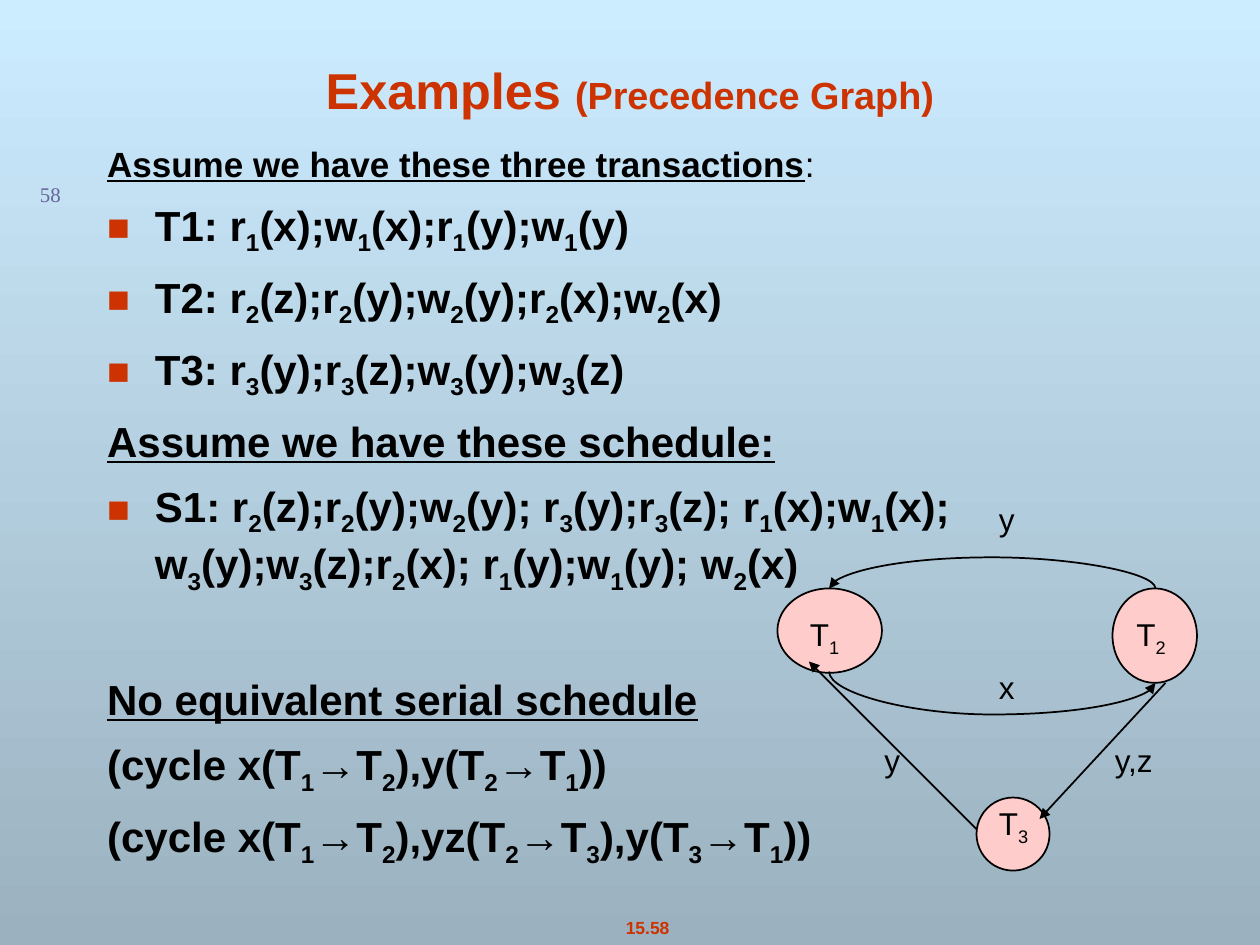
import pptx
import pptx.util
import pptx.dml.color
import pptx.enum.shapes
import pptx.enum.text
import pptx.oxml
import pptx.oxml.ns
from lxml import etree

Inches, Pt = pptx.util.Inches, pptx.util.Pt
Kind = pptx.enum.shapes.MSO_CONNECTOR
Align = pptx.enum.text.PP_ALIGN
Anchor = pptx.enum.text.MSO_ANCHOR
Fit = pptx.enum.text.MSO_AUTO_SIZE
qn = pptx.oxml.ns.qn

INK = {"red": "CC3300", "black": "000000", "page": "666699", "node": "FFCCCC",
       "top": "CCECFF", "base": "9BB1BF"}

# An underscore lowers the character after it.
TITLE = [("Examples ", 28.8), ("(Precedence Graph)", 21.6)]
HEAD, ITEM, PLAIN = "head", "item", "plain"
BODY = [  # style, text, size, space before
    (HEAD, "Assume we have these three transactions", 20, 7),
    (ITEM, "T1: r_1(x);w_1(x);r_1(y);w_1(y)", 24, 8.4),
    (ITEM, "T2: r_2(z);r_2(y);w_2(y);r_2(x);w_2(x)", 24, 8.4),
    (ITEM, "T3: r_3(y);r_3(z);w_3(y);w_3(z)", 24, 8.4),
    (HEAD, "Assume we have these schedule:", 24, 8.4),
    (ITEM, "S1: r_2(z);r_2(y);w_2(y); r_3(y);r_3(z); r_1(x);w_1(x); "
           "w_3(y);w_3(z);r_2(x); r_1(y);w_1(y); w_2(x)", 24, 8.4),
    (HEAD, "No equivalent serial schedule", 24, 45),
    (PLAIN, "(cycle x(T_1→T_2),y(T_2→T_1))", 24, 8.4),
    (PLAIN, "(cycle x(T_1→T_2),yz(T_2→T_3),y(T_3→T_1))", 24, 8.4),
]
NODES = [(6.17, 4.67, 0.83, 0.67), (8.83, 4.67, 0.67, 0.75), (7.75, 6.33, 0.58, 0.58)]
ARCS = [((9.17, 4.67), (6.58, 4.67), 4.42), ((6.58, 5.33), (9.17, 5.42), 5.67)]
EDGES = [((9.25, 5.42), (8.25, 6.5)), ((7.75, 6.58), (6.42, 5.25))]
LABELS = [("y", 7.83, 3.92), ("x", 7.83, 5.25), ("y", 6.92, 5.83), ("y,z", 8.75, 5.83),
          ("T_1", 6.33, 4.83), ("T_2", 8.92, 4.83), ("T_3", 7.83, 6.33)]


def rgb(name):
    return pptx.dml.color.RGBColor.from_string(INK[name])


def style(run, size, ink="black", bold=False, face="Arial"):
    run.font.size, run.font.bold, run.font.name = Pt(size), bold, face
    run.font.color.rgb = rgb(ink)


def write(para, text, size, **look):
    """Add text as runs, lowering each character that follows an underscore."""
    first, *rest = text.split("_")
    parts = [(first, False)]
    for bit in rest:
        parts += [(bit[0], True), (bit[1:], False)]
    for bit, low in parts:
        if bit:
            run = para.add_run()
            run.text = bit
            style(run, size, **look)
            if low:
                run.font._element.set("baseline", "-25000")


def place(shape, x, y, w, h):
    shape.left, shape.top, shape.width, shape.height = map(Inches, (x, y, w, h))


def label(slide, text, box, size, align=Align.LEFT, wrap=True, **look):
    frame = slide.shapes.add_textbox(*map(Inches, box)).text_frame
    frame.word_wrap = wrap
    frame.paragraphs[0].alignment = align
    write(frame.paragraphs[0], text, size, **look)


def indent(para, item):
    """Hang the paragraph, with a red square for an item."""
    props = para._p.get_or_add_pPr()
    props.set("marL", str(Inches(0.38)))
    props.set("indent", str(Inches(-0.38)))
    if not item:
        etree.SubElement(props, qn("a:buNone"))
        return
    tint = etree.SubElement(props, qn("a:buClr"))
    etree.SubElement(tint, qn("a:srgbClr"), val=INK["red"])
    etree.SubElement(props, qn("a:buSzPct"), val="90000")
    etree.SubElement(props, qn("a:buFont"), typeface="Arial")
    etree.SubElement(props, qn("a:buChar"), char="■")


def arrow(slide, kind, start, end):
    wire = slide.shapes.add_connector(kind, *map(Inches, (*start, *end)))
    wire.line.color.rgb, wire.line.width = rgb("black"), Pt(1)
    etree.SubElement(wire.line._get_or_add_ln(), qn("a:tailEnd"),
                     type="triangle", w="med", len="med")
    etree.SubElement(wire._element.spPr, qn("a:effectLst"))
    return wire


def arc(slide, start, end, peak):
    """Curve that leaves and enters vertically: a connector turned by 270 degrees."""
    (x1, y1), (x2, y2) = start, end
    mid, level = (x1 + x2) / 2, (y1 + y2) / 2
    half, rise = (x2 - x1) / 2, max(abs(y2 - y1), 0.002)
    wire = arrow(slide, Kind.CURVE, (mid + rise / 2, level - half),
                 (mid - rise / 2, level + half))
    props = wire._element.spPr
    props.find(qn("a:xfrm")).set("rot", "16200000")
    shape = props.find(qn("a:prstGeom"))
    guides = shape.find(qn("a:avLst"))
    if guides is None:
        guides = etree.SubElement(shape, qn("a:avLst"))
    bend = round((peak - y1) / rise * 100000)
    etree.SubElement(guides, qn("a:gd"), name="adj1", fmla=f"val {bend}")


def main():
    deck = pptx.Presentation()
    deck.slide_width, deck.slide_height = Inches(10), Inches(7.5)
    slide = deck.slides.add_slide(deck.slide_layouts[1])
    fill = slide.background.fill
    fill.gradient()
    fill.gradient_angle = 270
    for stop, name, spot in zip(fill.gradient_stops, ("top", "base"), (0, 1)):
        stop.color.rgb, stop.position = rgb(name), spot

    label(slide, "15.58", (4.86, 7.23, 0.56, 0.27), 10, Align.CENTER, False,
          ink="red", bold=True)
    label(slide, "58", (0, 1.39, 0.58, 0.27), 11.9, Align.RIGHT,
          ink="page", face="Times New Roman")

    title, body = slide.placeholders
    place(title, 0.75, 0.42, 8.5, 0.58)
    title.text_frame.vertical_anchor = Anchor.BOTTOM
    title.text_frame.auto_size = Fit.NONE
    head = title.text_frame.paragraphs[0]
    head.alignment = Align.CENTER
    for text, size in TITLE:
        write(head, text, size, ink="red", bold=True)

    place(body, 0.75, 1.08, 8.5, 5.67)
    frame = body.text_frame
    frame.auto_size = Fit.NONE
    for i, (kind, text, size, gap) in enumerate(BODY):
        para = frame.add_paragraph() if i else frame.paragraphs[0]
        para.space_before = Pt(gap)
        indent(para, kind == ITEM)
        write(para, text, size, bold=True)
        for run in para.runs:
            run.font.underline = kind == HEAD
    write(frame.paragraphs[0], ":", 20)

    for box in NODES:
        node = slide.shapes.add_shape(pptx.enum.shapes.MSO_SHAPE.OVAL, *map(Inches, box))
        node.shadow.inherit = False
        node.fill.solid()
        node.fill.fore_color.rgb = rgb("node")
        node.line.color.rgb, node.line.width = rgb("black"), Pt(1)
    for ends in ARCS:
        arc(slide, *ends)
    for ends in EDGES:
        arrow(slide, Kind.STRAIGHT, *ends)
    for text, x, y in LABELS:
        label(slide, text, (x, y, 0.67, 0.5), 18)

    deck.save("out.pptx")


if __name__ == "__main__":
    main()
